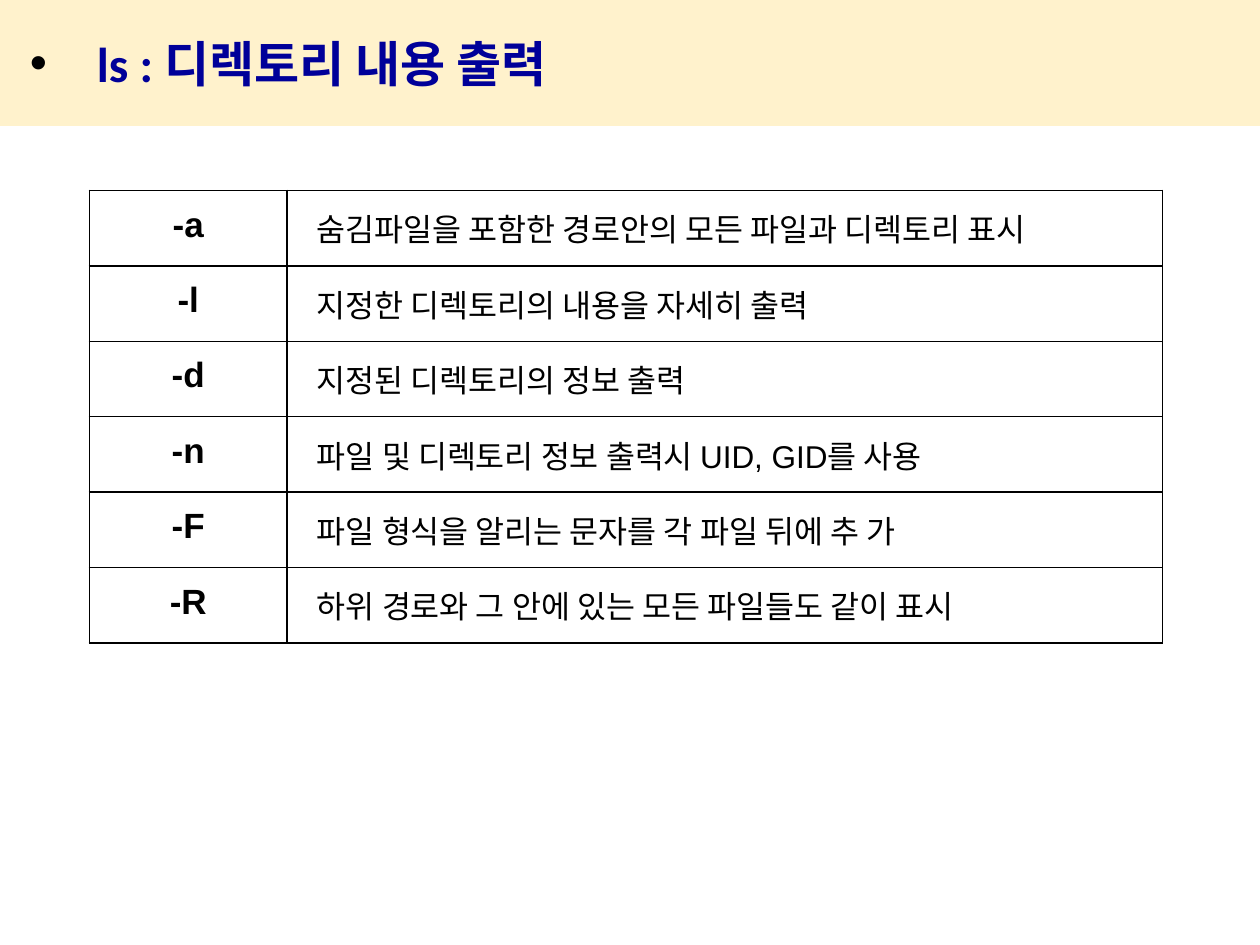
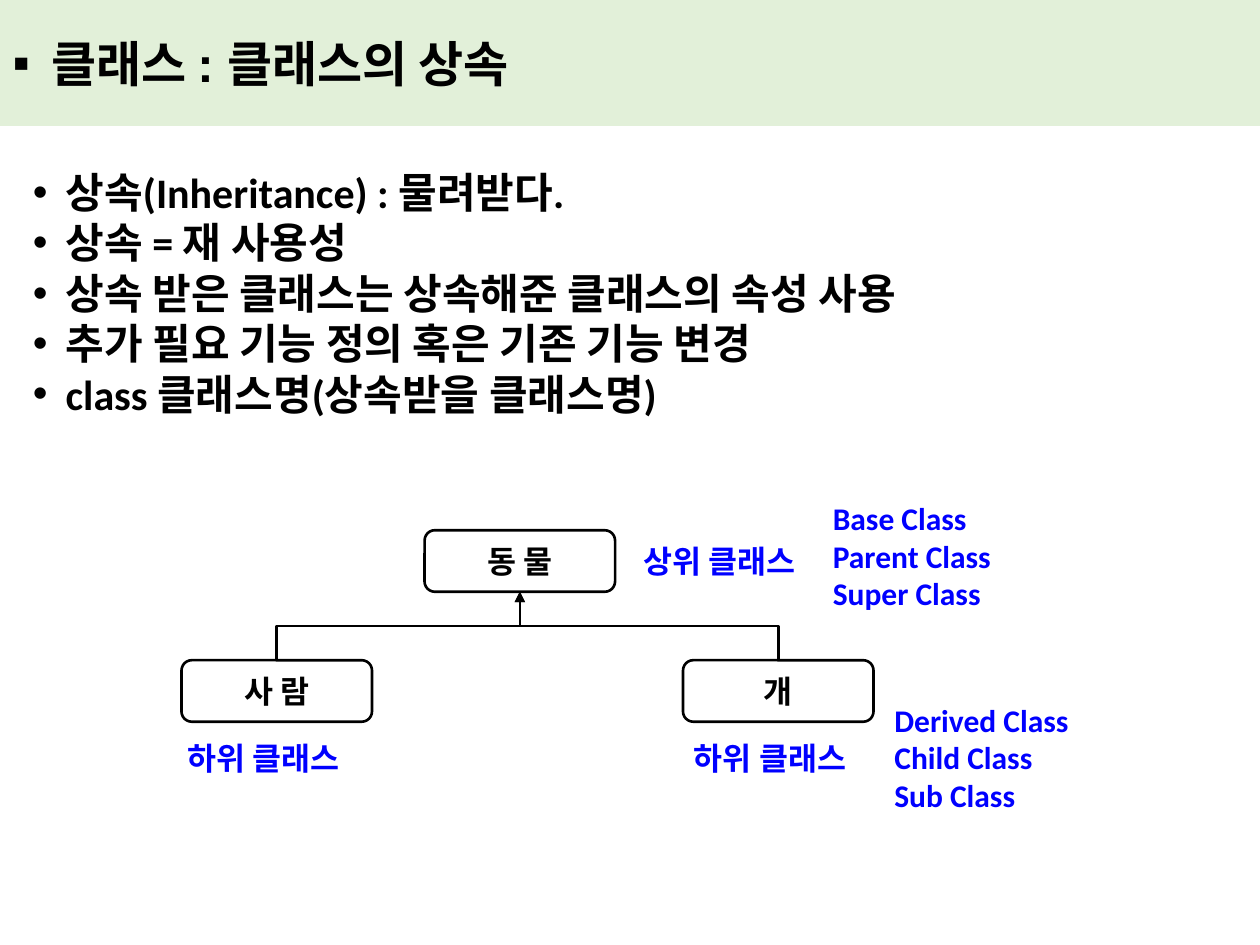
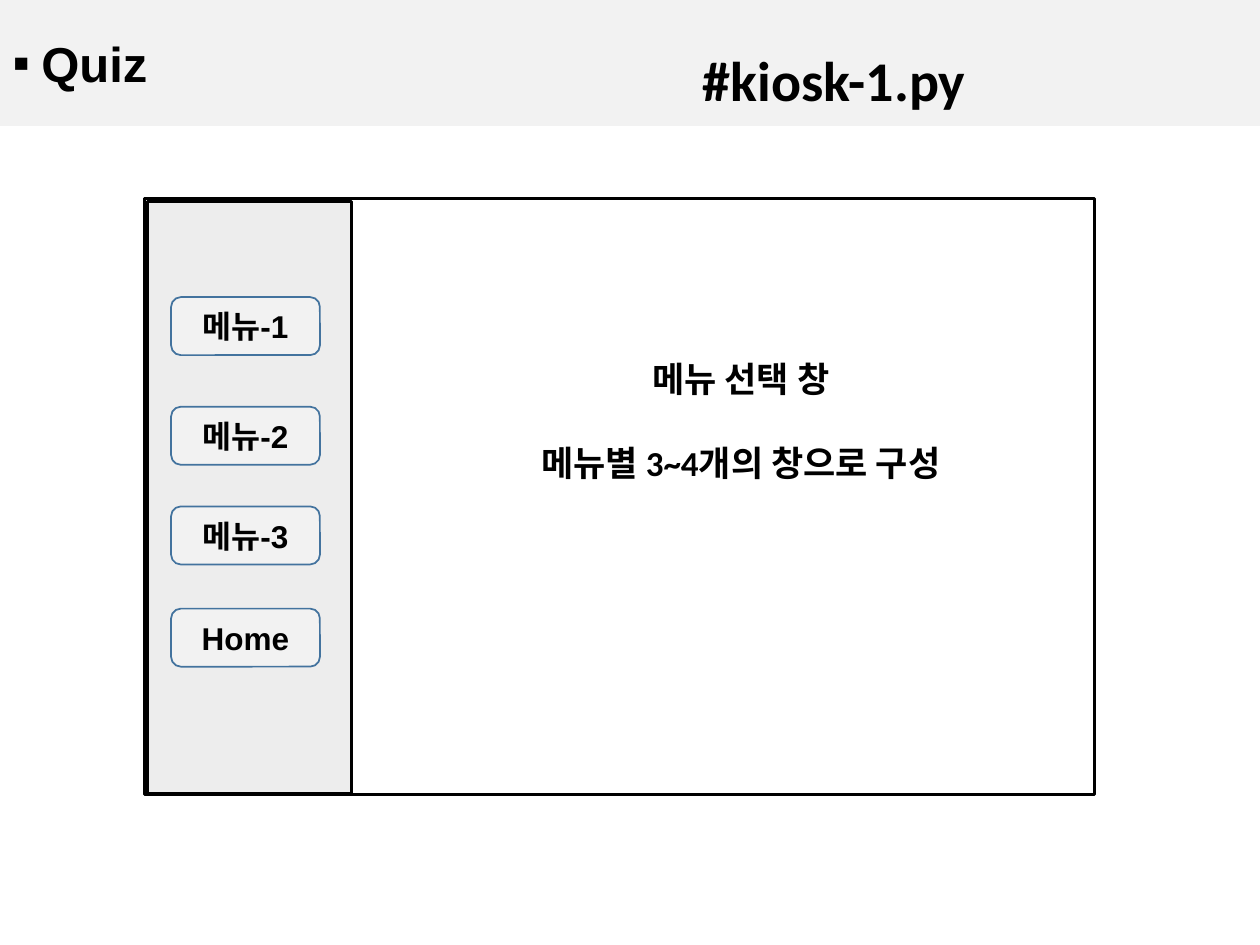
from lxml import etree
from pptx import Presentation
from pptx import util as u
from pptx.dml.color import RGBColor
from pptx.enum import shapes, text
from pptx.oxml.ns import qn

COLORS = {
    "black": "000000", "white": "FFFFFF", "navy": "000099", "blue": "0000FF",
    "cream": "FFF2CC", "green": "E2F0D9", "pale": "F2F2F2",
    "sidebar": "EDEDED", "button line": "43739E",
}

# Content; places are left, top, width, height in cm
LS_OPTIONS = [
    ("-a", "숨김파일을 포함한 경로안의 모든 파일과 디렉토리 표시"),
    ("-l", "지정한 디렉토리의 내용을 자세히 출력"),
    ("-d", "지정된 디렉토리의 정보 출력"),
    ("-n", "파일 및 디렉토리 정보 출력시 UID, GID를 사용"),
    ("-F", "파일 형식을 알리는 문자를 각 파일 뒤에 추 가"),
    ("-R", "하위 경로와 그 안에 있는 모든 파일들도 같이 표시"),
]
INHERITANCE = [
    "상속(Inheritance) : 물려받다.",
    "상속 = 재 사용성",
    "상속 받은 클래스는 상속해준 클래스의 속성 사용",
    "추가 필요 기능 정의 혹은 기존 기능 변경",
    "class 클래스명(상속받을 클래스명)",
]
PARENT = ("동 물", 8.56, 10.69)
CHILDREN = [("사 람", 3.66, 13.31), ("개", 13.77, 13.31)]
CLASS_LABELS = [
    (["상위 클래스"], (12.73, 10.8, 3.86, 1.02)),
    (["하위 클래스"], (3.53, 14.78, 3.86, 1.02)),
    (["하위 클래스"], (13.74, 14.78, 3.86, 1.02)),
    (["Base Class", "Parent Class", "Super Class"], (16.54, 9.93, 3.73, 2.57)),
    (["Derived Class", "Child Class", "Sub Class"], (17.78, 14, 4.04, 2.57)),
]
MENU_BUTTONS = [("메뉴-1", 5.99), ("메뉴-2", 8.2), ("메뉴-3", 10.21), ("Home", 12.27)]
MENU_NOTES = ["메뉴 선택 창", "메뉴별 3~4개의 창으로 구성"]


def cm(place):
    return [u.Cm(length) for length in place]


def rgb(name):
    return RGBColor.from_string(COLORS[name])


def write(frame, lines, size, font="Calibri", color="black", bold=True, align=None, gap=0):
    frame.text = "\n".join(lines)
    for index, paragraph in enumerate(frame.paragraphs):
        paragraph.alignment = align
        paragraph.space_before = u.Pt(gap if index else 0)
        for run in paragraph.runs:
            run.font.size, run.font.name, run.font.bold = u.Pt(size), font, bold
            run.font.color.rgb = rgb(color)


def add_bullets(frame, char, margin, hang):
    for paragraph in frame.paragraphs:
        props = paragraph._p.get_or_add_pPr()
        props.set("marL", str(u.Cm(margin)))
        props.set("indent", str(-u.Cm(hang)))
        tint = etree.SubElement(props, qn("a:buClr"))
        etree.SubElement(tint, qn("a:srgbClr"), val=COLORS["black"])
        etree.SubElement(props, qn("a:buFont"), typeface="Arial")
        etree.SubElement(props, qn("a:buChar"), char=char)


def move(shape, place):
    shape.left, shape.top, shape.width, shape.height = place


def add_slide(prs, layout, heading, band, char, margin, hang, font="Arial", color="black"):
    slide = prs.slides.add_slide(prs.slide_layouts[layout])
    title = slide.shapes.title
    move(title, cm((0, 0, 25.4, 2.54)))
    title.fill.solid()
    title.fill.fore_color.rgb = rgb(band)
    frame = title.text_frame
    write(frame, [heading], 28, font, color, align=text.PP_ALIGN.LEFT)
    add_bullets(frame, char, margin, hang)
    frame.auto_size = text.MSO_AUTO_SIZE.NONE
    frame.vertical_anchor = text.MSO_ANCHOR.MIDDLE
    return slide


def add_box(slide, kind, place, fill=None, line="black", width=1.5, label=None, font="Calibri"):
    box = slide.shapes.add_shape(kind, *cm(place))
    box.shadow.inherit = False
    if fill:
        box.fill.solid()
        box.fill.fore_color.rgb = rgb(fill)
    else:
        box.fill.background()
    box.line.color.rgb = rgb(line)
    box.line.width = u.Pt(width)
    if label:
        write(box.text_frame, [label], 18, font, align=text.PP_ALIGN.CENTER)
        box.text_frame.vertical_anchor = text.MSO_ANCHOR.MIDDLE
    return box


def add_label(slide, lines, place, size, **style):
    frame = slide.shapes.add_textbox(*cm(place)).text_frame
    frame.auto_size = text.MSO_AUTO_SIZE.SHAPE_TO_FIT_TEXT
    write(frame, lines, size, **style)


def add_branch(slide, child, parent):
    """Elbow arrow from the child's top up to the parent's bottom."""
    branch = slide.shapes.add_connector(shapes.MSO_CONNECTOR.ELBOW, 0, 0, 0, 0)
    branch.begin_connect(child, 0)
    branch.end_connect(parent, 2)
    x1, y1 = child.left + child.width // 2, child.top
    x2, y2 = parent.left + parent.width // 2, parent.top + parent.height
    across, rise = abs(x2 - x1), y1 - y2
    # The frame is turned by a quarter so that the path leaves vertically
    move(branch, ((x1 + x2 - rise) // 2, (y1 + y2 - across) // 2, rise, across))
    props = branch.element.spPr
    frame = props.find(qn("a:xfrm"))
    from_left = x1 < x2
    frame.set("rot", str((90 if from_left else 270) * 60000))
    frame.set("flipH", "1" if from_left else "0")
    frame.set("flipV", "1")
    branch.line.color.rgb = rgb("black")
    branch.line.width = u.Pt(1.5)
    etree.SubElement(props.find(qn("a:ln")), qn("a:tailEnd"), type="triangle")
    etree.SubElement(props, qn("a:effectLst"))


def add_borders(cell):
    props = cell._tc.get_or_add_tcPr()
    for side in ("lnL", "lnR", "lnT", "lnB"):
        line = etree.SubElement(props, qn("a:" + side), w=str(u.Pt(1)))
        fill = etree.SubElement(line, qn("a:solidFill"))
        etree.SubElement(fill, qn("a:srgbClr"), val=COLORS["black"])


def build_ls(prs):
    slide = add_slide(prs, 5, "ls : 디렉토리 내용 출력", "cream", "•", 1.7, 1.35, "Calibri", "navy")
    widths, row_height = (3.99, 17.65), 1.52
    place = (1.8, 3.84, sum(widths), row_height * len(LS_OPTIONS))
    options = slide.shapes.add_table(len(LS_OPTIONS), len(widths), *cm(place)).table
    options.first_row = options.horz_banding = False
    for column, width in zip(options.columns, widths):
        column.width = u.Cm(width)
    for r, row in enumerate(LS_OPTIONS):
        for c, content in enumerate(row):
            cell = options.cell(r, c)
            cell.margin_left = cell.margin_right = u.Cm(0.6)
            cell.margin_top = cell.margin_bottom = u.Cm(0.3)
            is_flag = c == 0
            write(cell.text_frame, [content], 20 if is_flag else 18, "Arial", bold=is_flag,
                  align=text.PP_ALIGN.CENTER if is_flag else text.PP_ALIGN.LEFT)
            add_borders(cell)
            cell.fill.solid()
            cell.fill.fore_color.rgb = rgb("white")


def build_inheritance(prs):
    slide = add_slide(prs, 1, "클래스 : 클래스의 상속", "green", "▪", 0.78, 0.78)
    body = slide.placeholders[1]
    move(body, cm((0.41, 3.23, 21.56, 5.38)))
    write(body.text_frame, INHERITANCE, 24)
    add_bullets(body.text_frame, "•", 0.66, 0.66)
    body.text_frame.auto_size = text.MSO_AUTO_SIZE.NONE

    # Class tree
    parent, *children = [
        add_box(slide, shapes.MSO_SHAPE.ROUNDED_RECTANGLE, (left, top, 3.84, 1.24), label=name)
        for name, left, top in [PARENT, *CHILDREN]
    ]
    for child in children:
        add_branch(slide, child, parent)
    for lines, place in CLASS_LABELS:
        add_label(slide, lines, place, 18, color="blue")


def build_quiz(prs):
    slide = add_slide(prs, 5, "Quiz", "pale", "▪", 0.58, 0.58)
    # Kiosk window with its menu
    add_box(slide, shapes.MSO_SHAPE.RECTANGLE, (2.92, 4.01, 19.15, 12.01), width=1.75)
    add_box(slide, shapes.MSO_SHAPE.RECTANGLE, (2.97, 4.06, 4.11, 11.94), "sidebar", width=1.75)
    for name, top in MENU_BUTTONS:
        add_box(slide, shapes.MSO_SHAPE.ROUNDED_RECTANGLE, (3.45, top, 3, 1.17),
                "pale", "button line", 1, name, "Arial")
    add_label(slide, MENU_NOTES, (10.34, 7.09, 9.19, 2.82), 20,
              align=text.PP_ALIGN.CENTER, gap=24)
    add_label(slide, ["#kiosk-1.py"], (13.92, 0.79, 5.89, 1.63), 32)


def main():
    prs = Presentation()
    prs.slide_width, prs.slide_height = u.Cm(25.4), u.Cm(19.05)
    build_ls(prs)
    build_inheritance(prs)
    build_quiz(prs)
    prs.save("out.pptx")


if __name__ == "__main__":
    main()
